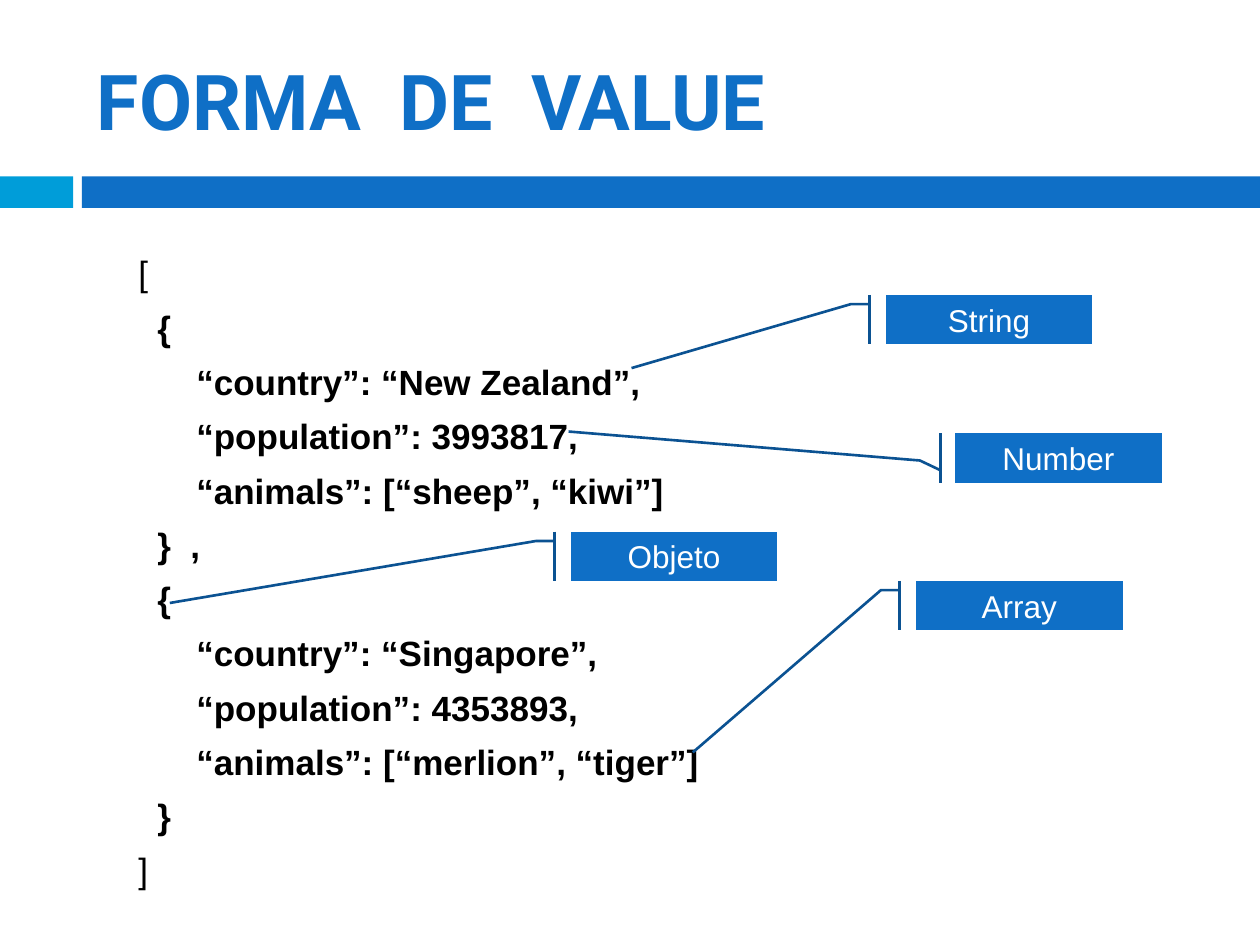
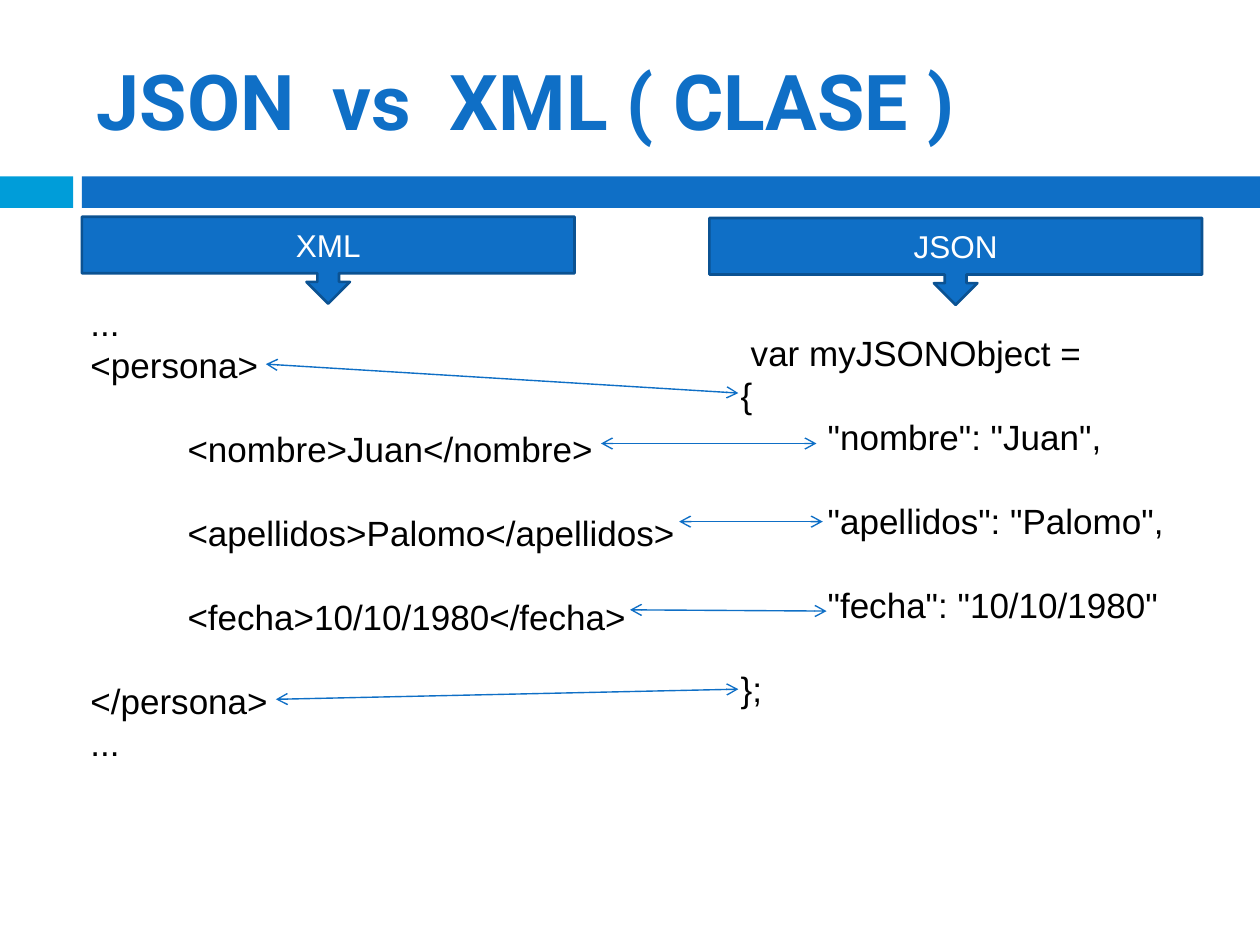
from dataclasses import dataclass

from lxml import etree
from pptx import Presentation
from pptx import util as u
from pptx.dml.color import RGBColor
from pptx.enum import shapes, text
from pptx.oxml.ns import qn


@dataclass(frozen=True)
class Theme:
    blue: RGBColor = RGBColor.from_string("0F6FC6")
    cyan: RGBColor = RGBColor.from_string("009DD9")
    outline: RGBColor = RGBColor.from_string("0B5292")
    black: RGBColor = RGBColor.from_string("000000")
    white: RGBColor = RGBColor.from_string("FFFFFF")
    title_font: str = "Roboto"
    body_font: str = "Arial"
    title_size: int = 44
    code_size: int = 20
    label_size: int = 18
    code_pitch: int = 24
    outline_width: float = 1.5
    arrow_width: float = 0.79


@dataclass(frozen=True)
class CodeLine:
    content: str
    indent: float = 0
    before: float = 0
    bold: bool = False


class Slides:
    def __init__(self, deck, theme):
        self.deck = deck
        self.theme = theme
        self.page = None

    def start(self, title):
        self.page = self.deck.slides.add_slide(self.deck.slide_layouts[6])
        self.band(0, 0.58, self.theme.cyan)
        self.band(0.65, 9.35, self.theme.blue)
        frame = self.text_box(0.67, 0.25, 8.92, 1.08)
        frame.vertical_anchor = text.MSO_ANCHOR.MIDDLE
        para = frame.paragraphs[0]
        para.text = title
        self.style(para, self.theme.title_font, self.theme.title_size, self.theme.blue, True)

    def style(self, para, font, size, color, bold=False):
        para.font.name = font
        para.font.size = u.Pt(size)
        para.font.color.rgb = color
        para.font.bold = bold

    def shape(self, kind, left, top, width, height, fill):
        box = self.page.shapes.add_shape(
            kind, u.Inches(left), u.Inches(top), u.Inches(width), u.Inches(height))
        box.shadow.inherit = False
        box.fill.solid()
        box.fill.fore_color.rgb = fill
        return box

    def band(self, left, width, fill):
        box = self.shape(shapes.MSO_SHAPE.RECTANGLE, left, 1.4, width, 0.25, fill)
        box.line.fill.background()

    def text_box(self, left, top, width, height, wrap=True):
        box = self.page.shapes.add_textbox(
            u.Inches(left), u.Inches(top), u.Inches(width), u.Inches(height))
        box.text_frame.word_wrap = wrap
        return box.text_frame

    def code(self, left, top, width, height, lines, wrap=True):
        frame = self.text_box(left, top, width, height, wrap)
        for index, line in enumerate(lines):
            para = frame.add_paragraph() if index else frame.paragraphs[0]
            para.text = line.content
            para.line_spacing = u.Pt(self.theme.code_pitch)
            para.space_before = u.Pt(line.before)
            para._p.get_or_add_pPr().set("marL", str(u.Inches(line.indent)))
            self.style(para, self.theme.body_font, self.theme.code_size,
                       self.theme.black, line.bold)

    def label(self, kind, content, left, top, width, height, adjustments=()):
        box = self.shape(kind, left, top, width, height, self.theme.blue)
        for index, value in enumerate(adjustments):
            box.adjustments[index] = value
        box.line.color.rgb = self.theme.outline
        box.line.width = u.Pt(self.theme.outline_width)
        box.text_frame.vertical_anchor = text.MSO_ANCHOR.MIDDLE
        para = box.text_frame.paragraphs[0]
        para.text = content
        para.alignment = text.PP_ALIGN.CENTER
        self.style(para, self.theme.body_font, self.theme.label_size, self.theme.white)

    def callout(self, content, left, top, leader):
        self.label(shapes.MSO_SHAPE.LINE_CALLOUT_2_ACCENT_BAR, content,
                   left, top, 1.64, 0.39, leader)

    def heading(self, content, left, top):
        self.label(shapes.MSO_SHAPE.DOWN_ARROW_CALLOUT, content, left, top, 3.91, 0.69)

    def double_arrow(self, *ends):
        arrow = self.page.shapes.add_connector(
            shapes.MSO_CONNECTOR.STRAIGHT, *(u.Inches(end) for end in ends))
        arrow.line.color.rgb = self.theme.blue
        arrow.line.width = u.Pt(self.theme.arrow_width)
        properties = arrow._element.spPr
        line = properties.find(qn("a:ln"))
        for tag in ("a:headEnd", "a:tailEnd"):
            etree.SubElement(line, qn(tag)).set("type", "arrow")
        etree.SubElement(properties, qn("a:effectLst"))


def add_value_forms(slides):
    slides.start("FORMA  DE  VALUE")
    brace, member, gap = 0.15, 0.46, 7
    rows = [
        ("{", brace),
        ("“country”: “New Zealand”,", member),
        ("“population”: 3993817,", member),
        ("“animals”: [“sheep”, “kiwi”]", member),
        ("}  ,", brace),
        ("{", brace),
        ("“country”: “Singapore”,", member),
        ("“population”: 4353893,", member),
        ("“animals”: [“merlion”, “tiger”]", member),
        ("}", brace),
    ]
    objects = [CodeLine(content, indent, gap, True) for content, indent in rows]
    slides.code(1, 1.95, 8.5, 5.32,
                [CodeLine("[", before=gap), *objects, CodeLine("]", before=gap)])

    elbow = (0.19, -0.08, 0.19, -0.17)
    slides.callout("String", 7.03, 2.34, (*elbow, 1.49, -1.23))
    slides.callout("Number", 7.58, 3.44, (0.75, -0.07, 0.55, -0.17, -0.04, -1.87))
    slides.callout("Array", 7.27, 4.61, (*elbow, 3.49, -1.08))
    slides.callout("Objeto", 4.53, 4.22, (*elbow, 1.45, -1.94))


def add_comparison(slides):
    slides.start("JSON  vs  XML ( CLASE )")
    skip = slides.theme.code_pitch
    element, member = 0.77, 0.69
    slides.code(0.62, 2.34, 4.87, 3.8, [
        CodeLine("..."),
        CodeLine("<persona>"),
        CodeLine("<nombre>Juan</nombre>", element, skip),
        CodeLine("<apellidos>Palomo</apellidos>", element, skip),
        CodeLine("<fecha>10/10/1980</fecha>", element, skip),
        CodeLine("</persona>", before=skip),
        CodeLine("..."),
    ], wrap=False)
    slides.code(5.78, 2.58, 3.59, 3.47, [
        CodeLine("var myJSONObject =", 0.08),
        CodeLine("{"),
        CodeLine('"nombre": "Juan",', member),
        CodeLine('"apellidos": "Palomo",', member, skip),
        CodeLine('"fecha": "10/10/1980"', member, skip),
        CodeLine("};", before=skip),
    ], wrap=False)

    slides.heading("XML", 0.65, 1.72)
    slides.heading("JSON", 5.63, 1.73)
    for ends in (
        (2.11, 2.89, 5.86, 3.12),
        (2.19, 5.55, 5.86, 5.47),
        (4.77, 3.52, 6.48, 3.52),
        (5.39, 4.14, 6.53, 4.14),
        (5, 4.84, 6.56, 4.85),
    ):
        slides.double_arrow(*ends)


def main():
    deck = Presentation()
    deck.slide_width, deck.slide_height = u.Inches(10), u.Inches(7.5)
    slides = Slides(deck, Theme())
    add_value_forms(slides)
    add_comparison(slides)
    deck.save("out.pptx")


if __name__ == "__main__":
    main()
